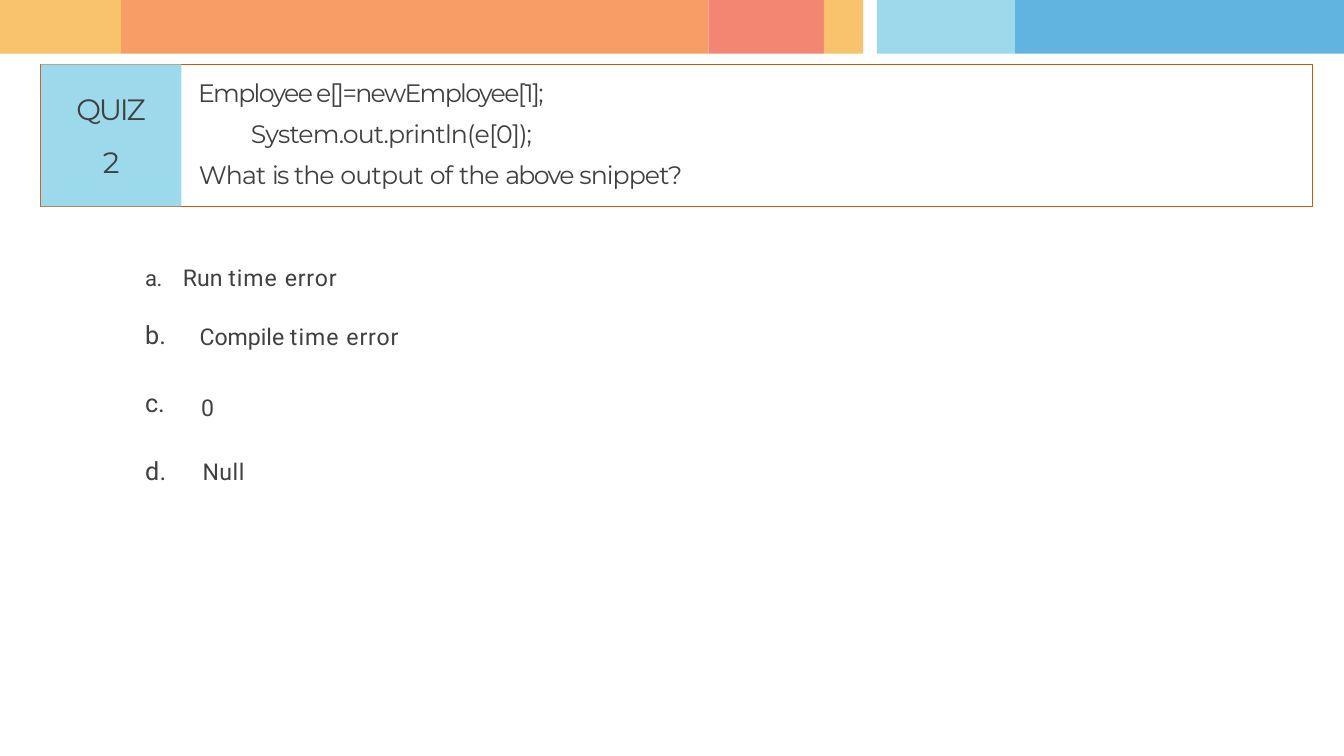
from pptx import Presentation
from pptx.dml.color import RGBColor
from pptx.enum.shapes import MSO_CONNECTOR, MSO_SHAPE
from pptx.enum.text import MSO_ANCHOR, MSO_AUTO_SIZE, PP_ALIGN
from pptx.oxml.ns import qn
from pptx.util import Inches, Pt
from lxml.etree import SubElement


def color(value):
    return RGBColor.from_string(value)


def write(para, spans, font, size, indent=0.01, hanging=0, tab=None):
    """Fill a paragraph with (text, letter spacing in points) spans."""
    props = para._p.get_or_add_pPr()
    props.set("marL", str(Inches(indent)))
    props.set("indent", str(Inches(hanging)))
    SubElement(props, qn("a:buNone"))
    if tab:
        stops = SubElement(props, qn("a:tabLst"))
        SubElement(stops, qn("a:tab"), pos=str(Inches(tab)), algn="l")
    para.space_before = Pt(0)
    para.font.name = font
    para.font.size = Pt(size)
    para.font.color.rgb = color("404040")
    for text, spacing in spans:
        span = para.add_run()
        span.text = text
        span._r.get_or_add_rPr().set("spc", str(round(spacing * 100)))


deck = Presentation()
deck.slide_width, deck.slide_height = Inches(17.78), Inches(10)
page = deck.slides.add_slide(deck.slide_layouts[1])
title, body = page.placeholders

# Colour band along the top: left, right, fill
for left, right, fill in [
    (0, 1.6, "F9C36E"), (1.6, 9.37, "F69E66"), (9.37, 10.9, "F38573"),
    (10.9, 11.42, "F9C36E"), (11.6, 13.43, "9CDAEB"), (13.43, 17.78, "60B4DF"),
]:
    band = page.shapes.add_shape(
        MSO_SHAPE.RECTANGLE, Inches(left), 0, Inches(right - left), Inches(0.71))
    band.shadow.inherit = False
    band.fill.solid()
    band.fill.fore_color.rgb = color(fill)
    band.line.fill.background()

# Question frame and its divider
frame = page.shapes.add_shape(
    MSO_SHAPE.RECTANGLE, Inches(0.54), Inches(0.85), Inches(16.82), Inches(1.88))
frame.shadow.inherit = False
frame.fill.background()
divider = page.shapes.add_connector(
    MSO_CONNECTOR.STRAIGHT, Inches(2.39), Inches(0.85), Inches(2.39), Inches(2.73))
SubElement(divider._element.spPr, qn("a:effectLst"))
for outline, width in [(frame, 0.96), (divider, 0.48)]:
    outline.line.color.rgb = color("C55A11")
    outline.line.width = Pt(width)

# Quiz number
quiz = page.shapes.add_shape(
    MSO_SHAPE.RECTANGLE, Inches(0.54), Inches(0.85), Inches(1.86), Inches(1.88))
quiz.shadow.inherit = False
quiz.fill.solid()
quiz.fill.fore_color.rgb = color("9CDAEB")
quiz.line.fill.background()

# Boxes for answers b to d: letter and text tops differ slightly
letters, answers = [], []
for letter_top, answer_left, answer_top, width in [
    (4.2, 2.63, 4.25, 2.73), (5.1, 2.65, 5.18, 0.2), (6, 2.67, 6.03, 0.6),
]:
    letters.append(page.shapes.add_textbox(
        Inches(1.91), Inches(letter_top), Inches(0.32), Inches(0.43)))
    answers.append(page.shapes.add_textbox(
        Inches(answer_left), Inches(answer_top), Inches(width), Inches(0.39)))

# Place the question text
for holder, left, top, width, height in [
    (title, 2.61, 0.86, 5.14, 1.11), (body, 1.91, 2.09, 7.5, 1.66),
]:
    holder.left, holder.top = Inches(left), Inches(top)
    holder.width, holder.height = Inches(width), Inches(height)

# Shared text frame settings
for box in [title, body, quiz, *letters, *answers]:
    area = box.text_frame
    area.word_wrap = True
    area.auto_size = MSO_AUTO_SIZE.NONE
    area.vertical_anchor = MSO_ANCHOR.TOP
    area.margin_left = area.margin_right = area.margin_bottom = 0
    area.margin_top = Inches(0.12 if box is quiz else 0.02)
    area.paragraphs[0].alignment = PP_ALIGN.CENTER if box is quiz else PP_ALIGN.LEFT

# Quiz label
para = quiz.text_frame.paragraphs[0]
para.line_spacing = 1.51
write(para, [("QUIZ", -2)], "Montserrat", 28, indent=0)
para.add_line_break()
para.add_run().text = "2"

# Code and question
para = title.text_frame.paragraphs[0]
para.line_spacing = 1.35
write(para, [("Employee e[]=newEmployee[1]; ", -1.6), ("System.out.println(e[0]);", -0.8)],
      "Montserrat", 24, indent=0.71, hanging=-0.7)
write(body.text_frame.paragraphs[0],
      [("What ", -0.8), ("is ", -1.8), ("the ", -0.9), ("output ", -0.7), ("of ", -0.8),
       ("the ", -0.9), ("above ", -1.6), ("snippet?", -0.9)],
      "Montserrat", 24, indent=0.72)

# Answers
para = body.text_frame.add_paragraph()
write(para, [("a.\t", -0.4), ("Run ", 0), ("time ", 1), ("error", 0.8)], "Roboto", 22, tab=0.74)
para.runs[0].font.size = Pt(21)
para.space_before = Pt(70)
for box, text, spacing in zip(letters, ["b.", "c.", "d."], [0.2, -0.2, 0.2]):
    write(box.text_frame.paragraphs[0], [(text, spacing)], "Roboto", 24)
for box, spans in zip(answers, [
    [("Compile ", 0), ("time ", 1), ("error", 0.8)], [("0", -0.5)], [("Null", 0.5)],
]):
    write(box.text_frame.paragraphs[0], spans, "Roboto", 22)

deck.save("out.pptx")
